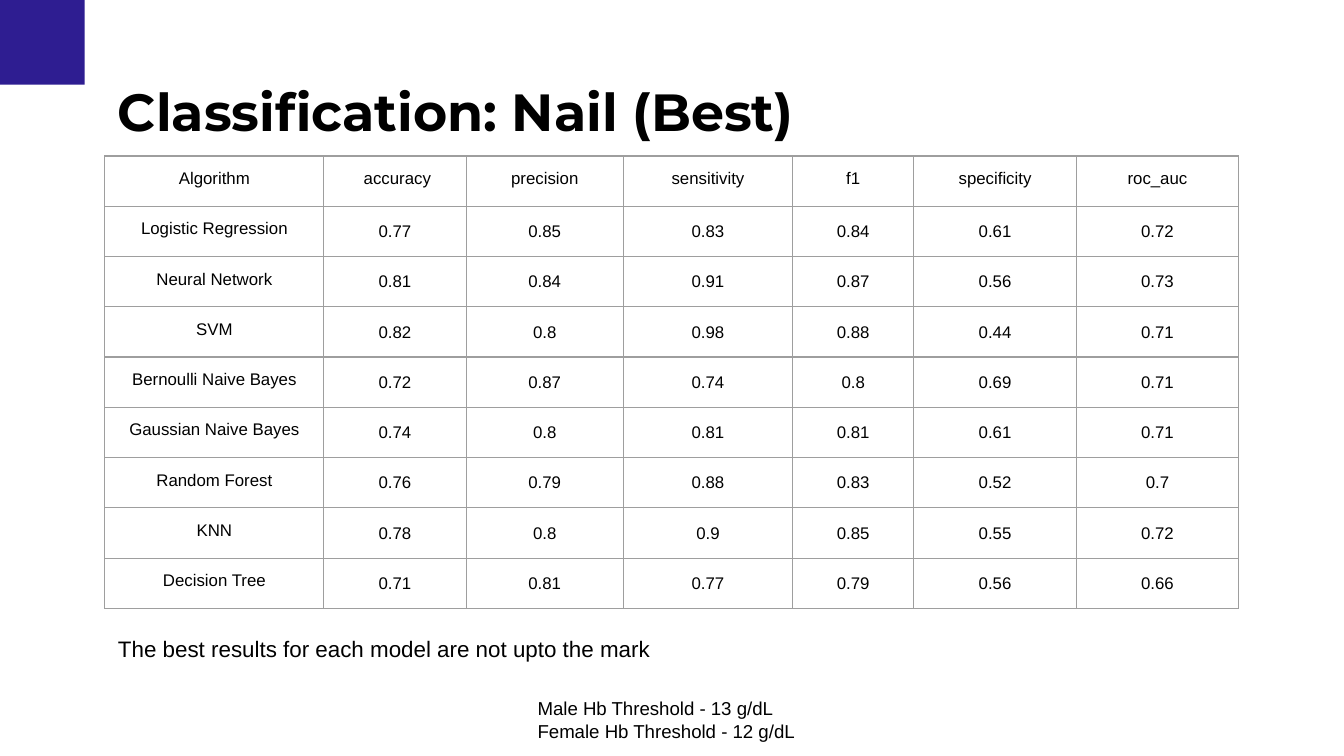
"""Build a slide that tabulates the best nail classification results."""
from pptx import Presentation
from pptx.dml.color import RGBColor
from pptx.enum.shapes import MSO_SHAPE as Shape
from pptx.enum.text import MSO_ANCHOR as Anchor, PP_ALIGN as Align
from pptx.oxml import parse_xml
from pptx.oxml.ns import nsdecls
from pptx.util import Cm, Pt

COLORS = {"accent": "2E1D91", "text": "000000", "border": "9E9E9E"}
INSET = Cm(0.25)
LEFT = Cm(1.98)
COLUMN_WIDTHS = [4.14, 2.69, 2.97, 3.2, 2.29, 3.07, 3.07]
ROW_HEIGHT = 0.95
ROWS = [
    ["Algorithm", " accuracy", "precision", "sensitivity", "f1", "specificity", "roc_auc"],
    ["Logistic Regression", "0.77", "0.85", "0.83", "0.84", "0.61", "0.72"],
    ["Neural Network", "0.81", "0.84", "0.91", "0.87", "0.56", "0.73"],
    ["SVM", "0.82", "0.8", "0.98", "0.88", "0.44", "0.71"],
    ["Bernoulli Naive Bayes", "0.72", "0.87", "0.74", "0.8", "0.69", "0.71"],
    ["Gaussian Naive Bayes", "0.74", "0.8", "0.81", "0.81", "0.61", "0.71"],
    ["Random Forest", "0.76", "0.79", "0.88", "0.83", "0.52", "0.7"],
    ["KNN", "0.78", "0.8", "0.9", "0.85", "0.55", "0.72"],
    ["Decision Tree", "0.71", "0.81", "0.77", "0.79", "0.56", "0.66"],
]
NOTES = [
    (1.98, 11.76, 13.36, 1.02, 12, ["The best results for each model are not upto the mark"]),
    (9.91, 12.93, 5.59, 1.37, 10, ["Male Hb Threshold - 13 g/dL", "Female Hb Threshold - 12 g/dL"]),
]


def add_span(para, text, size, font="Arial", bold=False):
    span = para.add_run()
    span.text = text
    span.font.size = Pt(size)
    span.font.name = font
    span.font.bold = bold
    span.font.color.rgb = RGBColor.from_string(COLORS["text"])


def set_insets(holder):
    holder.margin_left = holder.margin_right = INSET
    holder.margin_top = holder.margin_bottom = INSET


deck = Presentation()
deck.slide_width, deck.slide_height = Cm(25.4), Cm(14.29)
page = deck.slides.add_slide(deck.slide_layouts[5])

corner = page.shapes.add_shape(Shape.RECTANGLE, 0, 0, Cm(1.6), Cm(1.6))
corner.shadow.inherit = False
corner.fill.solid()
corner.fill.fore_color.rgb = RGBColor.from_string(COLORS["accent"])
corner.line.fill.background()

title = page.shapes.title
title.left, title.top, title.width, title.height = LEFT, Cm(1.24), Cm(21.44), Cm(1.7)
title.text_frame.vertical_anchor = Anchor.TOP
title.text_frame.word_wrap = True
set_insets(title.text_frame)
heading = title.text_frame.paragraphs[0]
heading.alignment = Align.LEFT
add_span(heading, "Classification: Nail (Best)", 28, "Montserrat", True)

table = page.shapes.add_table(
    len(ROWS), len(COLUMN_WIDTHS), LEFT, Cm(2.95),
    Cm(sum(COLUMN_WIDTHS)), Cm(ROW_HEIGHT * len(ROWS)),
).table
table.first_row = table.horz_banding = False
for column, width in zip(table.columns, COLUMN_WIDTHS):
    column.width = Cm(width)
for row_index, values in enumerate(ROWS):
    table.rows[row_index].height = Cm(ROW_HEIGHT)
    for column_index, value in enumerate(values):
        cell = table.cell(row_index, column_index)
        set_insets(cell)
        para = cell.text_frame.paragraphs[0]
        para.alignment = Align.CENTER
        if row_index and column_index:
            para.line_spacing = 1.15
        add_span(para, value, 9)
        properties = cell._tc.get_or_add_tcPr()
        for side in ("lnL", "lnR", "lnT", "lnB"):
            properties.append(parse_xml(
                f'<a:{side} {nsdecls("a")} w="{Pt(0.75)}"><a:solidFill>'
                f'<a:srgbClr val="{COLORS["border"]}"/></a:solidFill></a:{side}>'
            ))
        cell.fill.background()

for left, top, width, height, size, lines in NOTES:
    box = page.shapes.add_textbox(Cm(left), Cm(top), Cm(width), Cm(height))
    frame = box.text_frame
    frame.word_wrap = True
    set_insets(frame)
    for index, line in enumerate(lines):
        para = frame.add_paragraph() if index else frame.paragraphs[0]
        add_span(para, line, size)

deck.save("out.pptx")
